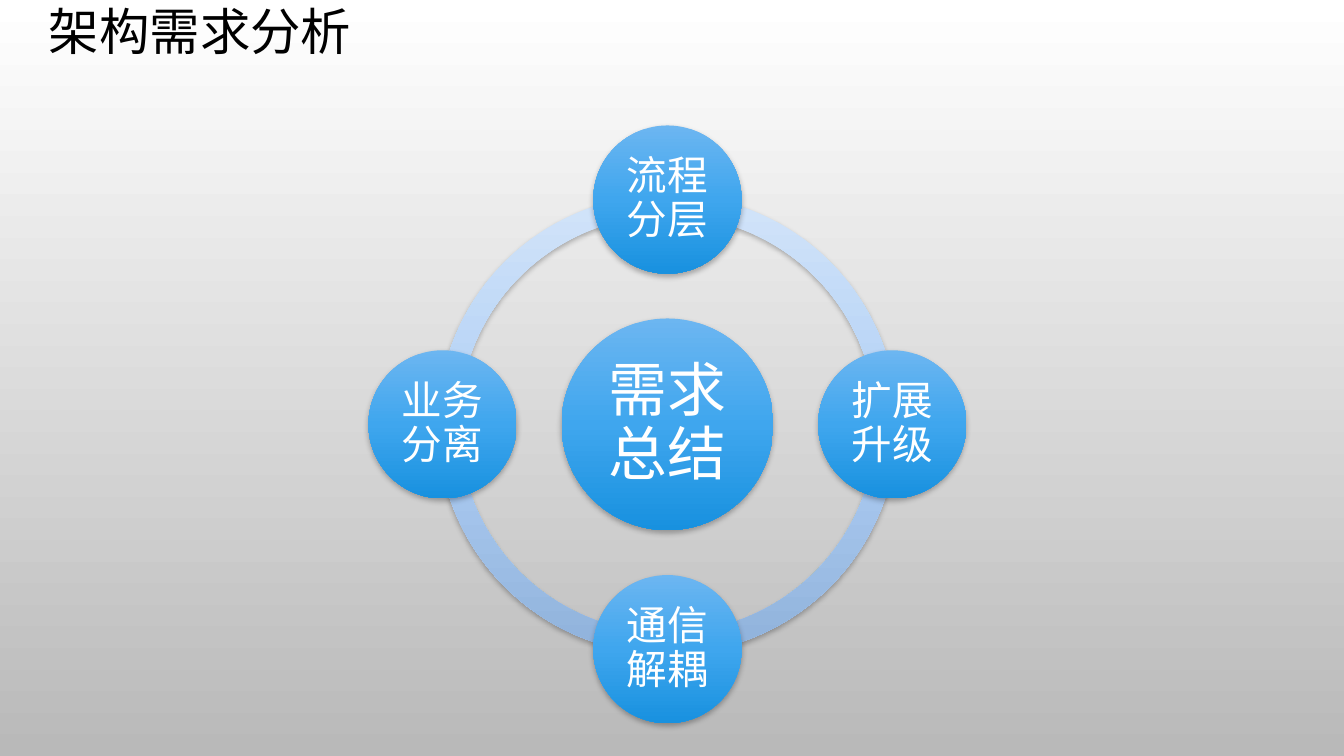
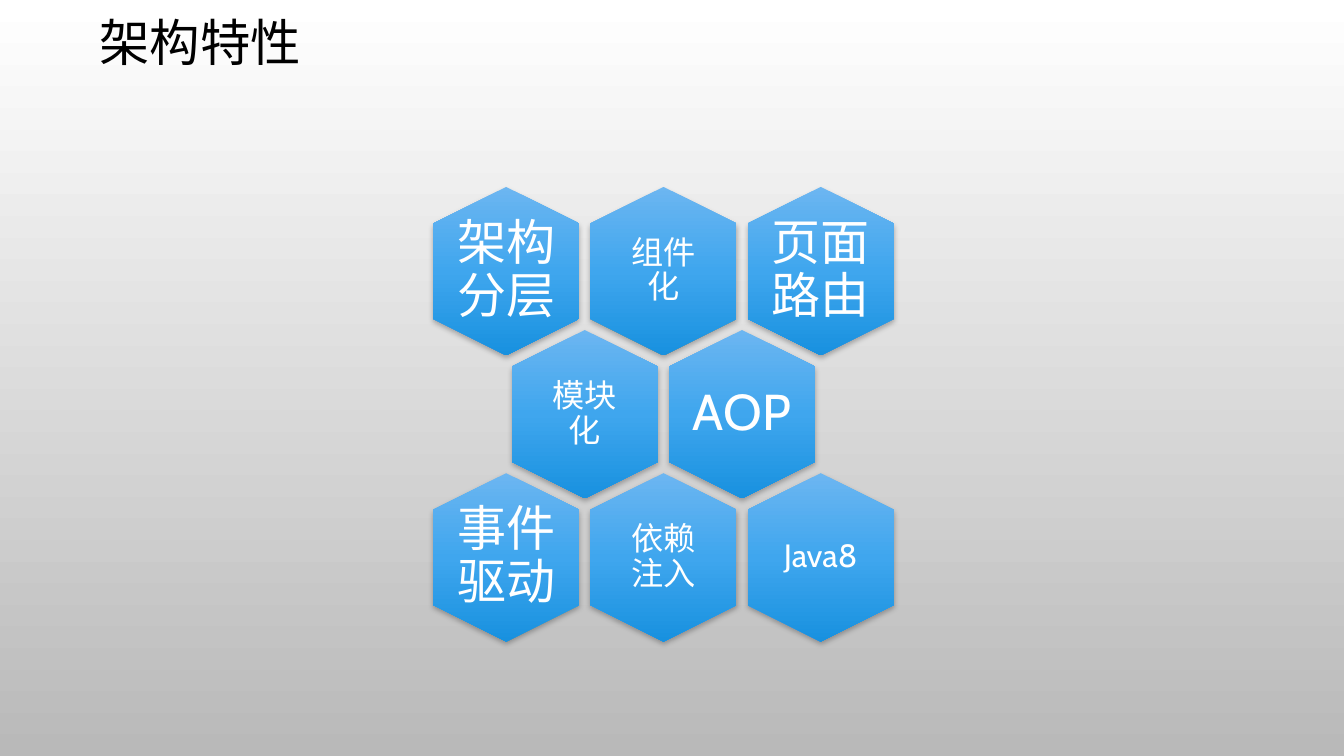
import copy
import math

import lxml.etree
import pptx
import pptx.dml.color
import pptx.enum.shapes
import pptx.enum.text
import pptx.oxml.ns
import pptx.util

Inches = pptx.util.Inches
Pt = pptx.util.Pt
SHAPE = pptx.enum.shapes.MSO_SHAPE
qn = pptx.oxml.ns.qn

FONT = "Cabin"
BLACK, WHITE = "000000", "FFFFFF"
PAGE = [WHITE, "B9B9B9"]
BLUE = ["6CB6F1", "3FA6EE", "1891DF"]
PALE = ["D2E4F9", "B0CFF5", "90B2DB"]

NEEDS = {"title": "架构需求分析", "top": 0, "hub": "需求总结",
         "around": ["流程分层", "扩展升级", "通信解耦", "业务分离"]}
FEATURES = {"title": "架构特性", "top": 0.11, "rows": [
    [("架构分层", 35), ("组件化", 23), ("页面路由", 35)],
    [("模块化", 23), ("AOP", 36)],
    [("事件驱动", 35), ("依赖注入", 23), ("Java8", 23)],
]}

CENTER_X, CENTER_Y = 6.62, 4.21
RING_SIZE, ORBIT, HUB_SIZE, NODE_SIZE = 4.56, 2.23, 2.1, 1.47
QUARTER = 54
HEX_LENGTH, HEX_WIDTH = 1.67, 1.45
HEX_X, HEX_Y, PITCH_X, PITCH_Y = 5.02, 2.69, 1.56, 1.42


def rgb(color):
    return pptx.dml.color.RGBColor.from_string(color)


def paint(fill, element, colors):
    fill.gradient()
    fill.gradient_angle = 270
    grad = next(element.iter(qn("a:gradFill")))
    grad.set("rotWithShape", "0")
    stops = grad.find(qn("a:gsLst"))
    for _ in colors[2:]:
        stops.insert(1, copy.deepcopy(stops[0]))
    for i, (stop, color) in enumerate(zip(fill.gradient_stops, colors)):
        stop.position = i / (len(colors) - 1)
        stop.color.rgb = rgb(color)


def add_shadow(sp):
    sp.shadow.inherit = False
    effects = sp.element.spPr.find(qn("a:effectLst"))
    shadow = lxml.etree.SubElement(
        effects, qn("a:outerShdw"), blurRad=str(Pt(4)), dist=str(Pt(2)),
        dir="5400000", rotWithShape="0")
    color = lxml.etree.SubElement(shadow, qn("a:srgbClr"), val=BLACK)
    lxml.etree.SubElement(color, qn("a:alpha"), val="28000")


def centered(x, y, width, height):
    return (Inches(x - width / 2), Inches(y - height / 2),
            Inches(width), Inches(height))


def add_glossy(shapes, kind, x, y, width, height, colors):
    sp = shapes.add_shape(kind, *centered(x, y, width, height))
    paint(sp.fill, sp.element.spPr, colors)
    sp.line.fill.background()
    add_shadow(sp)
    return sp


def write(sp, text, size, color, inset=None):
    tf = sp.text_frame
    tf.word_wrap = True
    tf.auto_size = pptx.enum.text.MSO_AUTO_SIZE.NONE
    tf.vertical_anchor = pptx.enum.text.MSO_ANCHOR.MIDDLE
    if inset is not None:
        tf.margin_left = tf.margin_right = Inches(inset)
        tf.margin_top = tf.margin_bottom = Inches(inset)
    p = tf.paragraphs[0]
    p.alignment = pptx.enum.text.PP_ALIGN.CENTER
    p.line_spacing = 0.9
    r = p.add_run()
    r.text = text
    r.font.name = FONT
    r.font.size = Pt(size)
    r.font.color.rgb = rgb(color)


def add_slide(prs, content):
    s = prs.slides.add_slide(prs.slide_layouts[5])
    title = s.shapes.title
    title.left, title.top = Inches(0), Inches(content["top"])
    title.width, title.height = Inches(3.97), Inches(0.67)
    write(title, content["title"], 36, BLACK)
    return s.shapes.add_group_shape().shapes


def add_disc(shapes, x, y, diameter, text, size, inset):
    sp = add_glossy(shapes, SHAPE.OVAL, x, y, diameter, diameter, BLUE)
    write(sp, text, size, WHITE, inset)


def build_needs(prs):
    shapes = add_slide(prs, NEEDS)
    for start in (2, 1, 0, 3):
        arc = add_glossy(shapes, SHAPE.BLOCK_ARC, CENTER_X, CENTER_Y,
                         RING_SIZE, RING_SIZE, PALE)
        arc.adjustments[0] = start * QUARTER
        arc.adjustments[1] = (start + 1) % 4 * QUARTER
        arc.adjustments[2] = 0.046
    add_disc(shapes, CENTER_X, CENTER_Y, HUB_SIZE, NEEDS["hub"], 42, 0.06)
    for i, text in enumerate(NEEDS["around"]):
        angle = 2 * math.pi * i / len(NEEDS["around"])
        add_disc(shapes, CENTER_X + ORBIT * math.sin(angle),
                 CENTER_Y - ORBIT * math.cos(angle), NODE_SIZE, text, 29, 0.04)


def build_features(prs):
    shapes = add_slide(prs, FEATURES)
    for row, cells in enumerate(FEATURES["rows"]):
        y = HEX_Y + row * PITCH_Y
        for col, (text, size) in enumerate(cells):
            x = HEX_X + (col + row % 2 / 2) * PITCH_X
            hexagon = add_glossy(shapes, SHAPE.HEXAGON, x, y,
                                 HEX_LENGTH, HEX_WIDTH, BLUE)
            hexagon.rotation = 90
            label = shapes.add_textbox(*centered(x, y, 1, 1.15))
            write(label, text, size, WHITE, 0.1 if size < 30 else 0)


def main():
    prs = pptx.Presentation()
    prs.slide_width, prs.slide_height = Inches(13.33), Inches(7.5)
    master = prs.slide_master
    paint(master.background.fill, master.element, PAGE)
    build_needs(prs)
    build_features(prs)
    prs.save("out.pptx")


if __name__ == "__main__":
    main()
